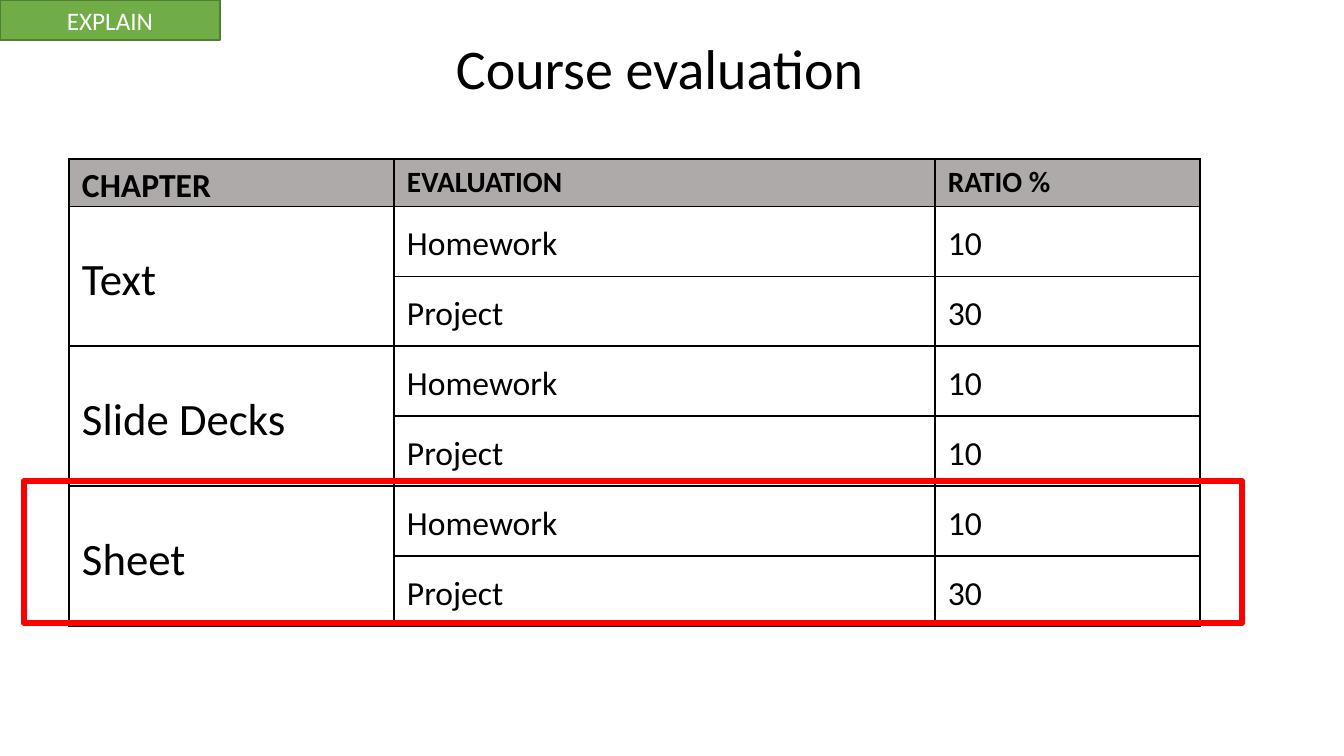
import lxml.etree
import pptx
import pptx.dml.color
import pptx.enum.shapes
import pptx.enum.text
import pptx.oxml.ns
import pptx.util

ALIGN = pptx.enum.text.PP_ALIGN
ANCHOR = pptx.enum.text.MSO_ANCHOR
SCALE = 914400 / 100.8
HEADS = ["CHAPTER", "EVALUATION", "RATIO %"]
COURSE = [("Text", 10, 30), ("Slide Decks", 10, 10), ("Sheet", 10, 30)]
TASKS = ["Homework", "Project"]


def px(num):
    """Turn whole pixels into EMU."""
    return pptx.util.Emu(round(num * SCALE))


def color(code):
    """Turn a hex string into a colour."""
    return pptx.dml.color.RGBColor.from_string(code)


def write(frame, text, size=24, ink="000000", bold=False,
          align=ALIGN.LEFT, space=None):
    """Put one formatted paragraph into a text frame."""
    frame.word_wrap = True
    para = frame.paragraphs[0]
    para.alignment = align
    para.line_spacing = space
    run = para.add_run()
    run.text = text
    font = run.font
    font.name, font.size, font.bold = "Calibri", pptx.util.Pt(size), bold
    font.color.rgb = color(ink)


def box(slide, area, line, width, fill=None):
    """Add an outlined rectangle, filled or hollow."""
    shape = slide.shapes.add_shape(
        pptx.enum.shapes.MSO_SHAPE.RECTANGLE, *map(px, area))
    shape.shadow.inherit = False
    if fill:
        shape.fill.solid()
        shape.fill.fore_color.rgb = color(fill)
    else:
        shape.fill.background()
    shape.line.color.rgb = color(line)
    shape.line.width = pptx.util.Pt(width)
    return shape


def border(cell):
    """Draw a thin black line on all four sides of a cell."""
    props = cell._tc.get_or_add_tcPr()
    name = pptx.oxml.ns.qn
    for spot, side in enumerate(["a:lnL", "a:lnR", "a:lnT", "a:lnB"]):
        line = lxml.etree.Element(name(side), w=str(pptx.util.Pt(1)))
        fill = lxml.etree.SubElement(line, name("a:solidFill"))
        lxml.etree.SubElement(fill, name("a:srgbClr"), val="000000")
        props.insert(spot, line)


def style(cell, fill=None):
    """Set the fill, margins and border of a cell."""
    if fill:
        cell.fill.solid()
        cell.fill.fore_color.rgb = color(fill)
    else:
        cell.fill.background()
    cell.margin_left = cell.margin_right = px(13)
    cell.margin_top = cell.margin_bottom = 0
    cell.vertical_anchor = ANCHOR.TOP if fill else ANCHOR.MIDDLE
    border(cell)


def grid(slide):
    """Add the table of chapters, tasks and ratios."""
    widths = [325, 541, 265]
    heights = [38] + [70] * (len(COURSE) * len(TASKS))
    table = slide.shapes.add_table(
        len(heights), len(widths), px(69), px(159),
        px(sum(widths)), px(sum(heights))).table
    table.horz_banding = False
    for col, width in zip(table.columns, widths):
        col.width = px(width)
    for row, height in zip(table.rows, heights):
        row.height = px(height)
    for row in range(len(heights)):
        for col in range(len(widths)):
            style(table.cell(row, col), None if row else "AEAAAA")

    def put(row, col, text, **form):
        write(table.cell(row, col).text_frame, text, space=1.15, **form)

    for col, head in enumerate(HEADS):
        put(0, col, head, size=21 if col else 24, bold=True,
            align=ALIGN.JUSTIFY)
    for part, (topic, *rates) in enumerate(COURSE):
        top = 1 + part * len(TASKS)
        table.cell(top, 0).merge(table.cell(top + len(TASKS) - 1, 0))
        put(top, 0, topic, size=32)
        for row, (task, rate) in enumerate(zip(TASKS, rates), top):
            put(row, 1, task)
            put(row, 2, str(rate))


def head(slide, text):
    """Place and format the title."""
    title = slide.shapes.title
    title.left, title.top, title.width, title.height = map(
        px, (374, 28, 571, 78))
    title.text_frame.vertical_anchor = ANCHOR.TOP
    write(title.text_frame, text, size=40, align=ALIGN.CENTER)


def main():
    """Build and save the slide."""
    deck = pptx.Presentation()
    deck.slide_width, deck.slide_height = px(1344), px(756)
    slide = deck.slides.add_slide(deck.slide_layouts[5])
    head(slide, "Course evaluation")
    tag = box(slide, (0, 0, 220, 40), "517E33", 1, "70AD47")
    write(tag.text_frame, "EXPLAIN", size=18, ink="FFFFFF",
          align=ALIGN.CENTER)
    grid(slide)
    box(slide, (24, 481, 1218, 142), "FF0000", 4.5)
    deck.save("out.pptx")


main()
